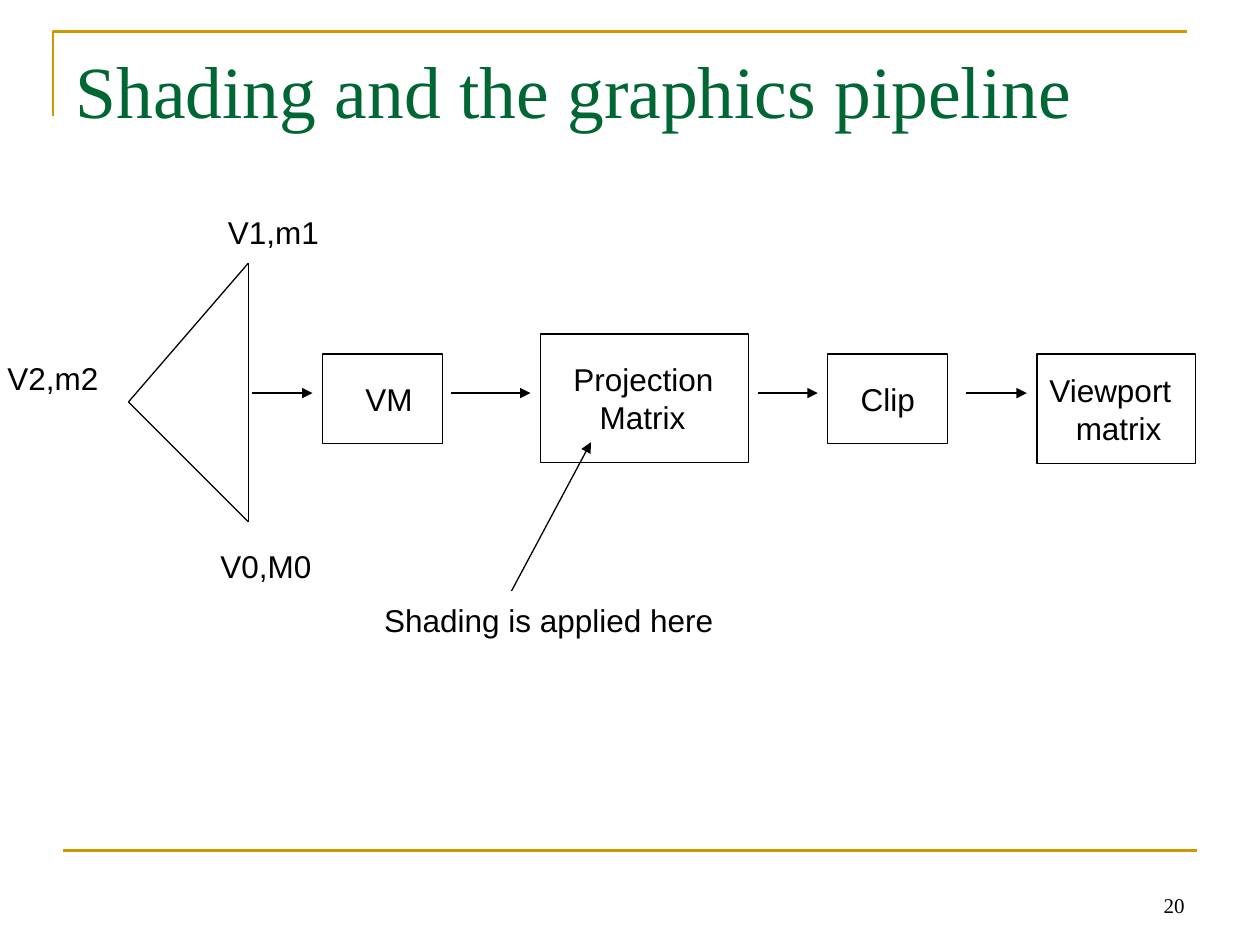
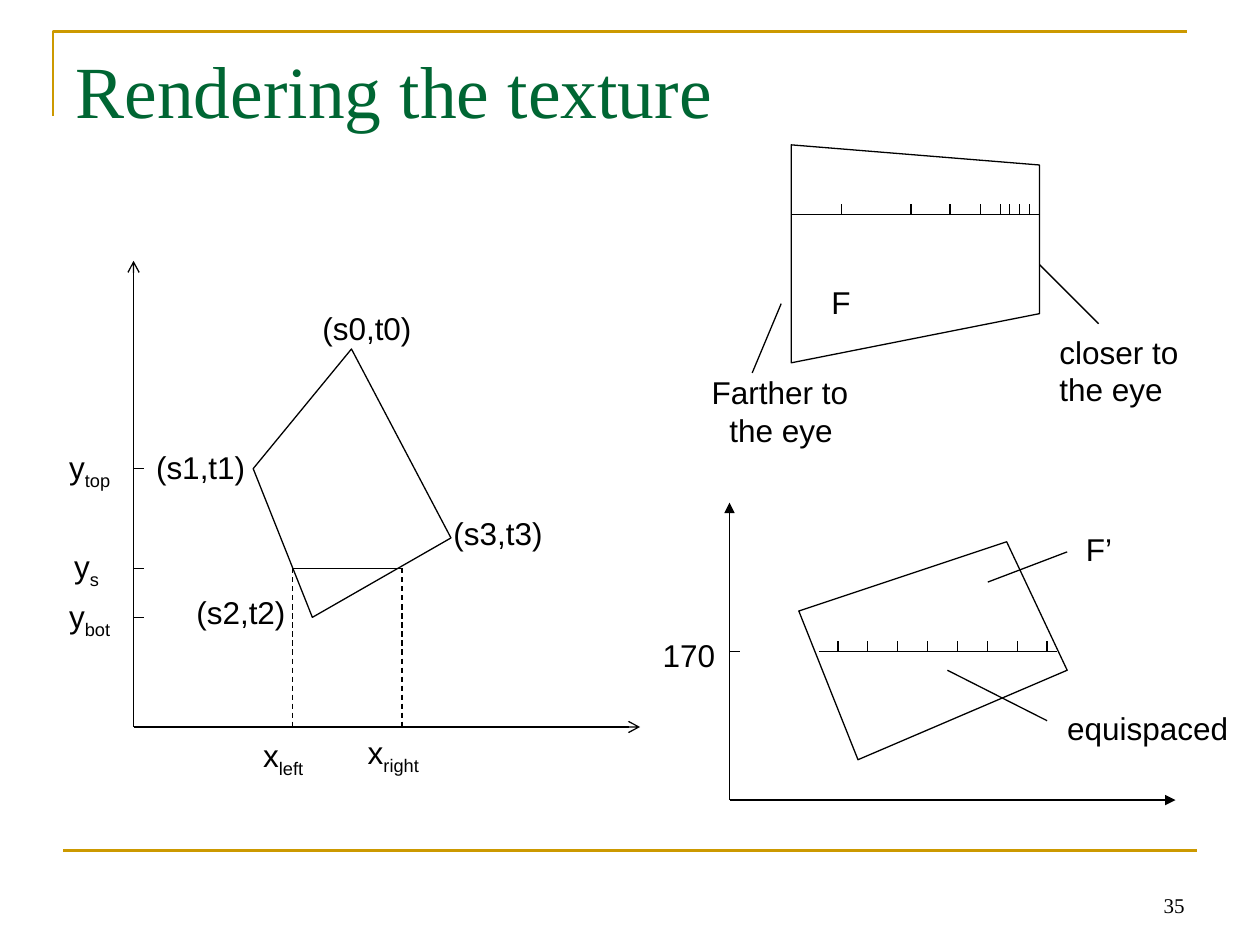
"""Builds two slides on shading in the pipeline and on texture rendering."""
from itertools import combinations

from lxml import etree
from pptx import Presentation
from pptx import util as u
from pptx.dml.color import RGBColor
from pptx.enum import dml, shapes, text
from pptx.oxml.ns import qn

GOLD, GREEN, BLACK = "CC9900", "006633", "000000"
SANS, SERIF = "Arial", "Times New Roman"

# All places are in inches; label rows are text, left, top, width, indent of line two.
PIPE = {
    "title": "Shading and the graphics pipeline",
    "number": "20",
    "outlines": [],
    "labels": [
        ("V1,m1", 1.71, 1.64, 0.92, 0),
        ("V2,m2", -0.04, 2.8, 0.92, 0),
        ("V0,M0", 1.65, 4.29, 0.92, 0),
        ("Shading is applied here", 2.95, 4.72, 2.81, 0),
    ],
    "arrows": [("triangle", (4.06, 4.69), (4.69, 3.51))],
}
CORNERS = [(1.02, 3.19), (1.97, 2.09), (1.97, 4.14)]
# Stage rows are text, left inset, indent of line two, then the place.
STAGES = [
    ("VM", 0.34, 0, 2.56, 2.81, 0.95, 0.71),
    ("Projection\nMatrix", 0.26, 0.21, 4.29, 2.65, 1.65, 1.02),
    ("Clip", 0.26, 0, 6.57, 2.81, 0.95, 0.71),
    ("Viewport\nmatrix", 0.1, 0.21, 8.23, 2.81, 1.26, 0.87),
]
FLOW_Y, FLOW_GAP = 3.12, 0.08
FLOW_FROM = [2, 3.58, 6.02, 7.67]

TEXTURE = {
    "title": "Rendering the texture",
    "number": "35",
    "outlines": [
        [(2.01, 3.72), (2.48, 4.9), (3.58, 4.27), (2.79, 2.77)],
        [(6.28, 1.15), (6.28, 2.88), (8.25, 2.49), (8.25, 1.31)],
        [(6.34, 4.85), (7.99, 4.3), (8.47, 5.32), (6.81, 6.03)],
    ],
    "labels": [
        ("(s0,t0)", 2.46, 2.4, 0.91, 0),
        ("(s1,t1)", 1.14, 3.51, 0.91, 0),
        ("(s2,t2)", 1.46, 4.66, 0.91, 0),
        ("(s3,t3)", 3.5, 4.03, 0.91, 0),
        ("x_left", 1.99, 5.79, 0.54, 0),
        ("x_right", 2.82, 5.77, 0.64, 0),
        ("y_bot", 0.45, 4.69, 0.56, 0),
        ("y_s", 0.49, 4.29, 0.42, 0),
        ("y_top", 0.45, 3.51, 0.56, 0),
        ("F", 6.5, 2.2, 0.35, 0),
        ("Farther to\nthe eye", 5.55, 2.91, 1.35, 0.14),
        ("closer to\nthe eye", 8.31, 2.59, 1.18, 0),
        ("F’", 8.52, 4.16, 0.41, 0),
        ("170", 5.16, 5, 0.65, 0),
        ("equispaced", 8.37, 5.58, 1.48, 0),
    ],
    "arrows": [
        ("arrow", (1.06, 5.77), (5.08, 5.77)),
        ("arrow", (1.06, 5.77), (1.06, 2.07)),
        ("triangle", (5.79, 6.35), (9.33, 6.35)),
        ("triangle", (5.79, 6.35), (5.79, 3.99)),
    ],
}
SPAN, SCAN_Y, AXIS_Y = (2.32, 3.19), 4.51, 5.77
POINTERS = [
    ((6.2, 2.41), (5.97, 2.96)),
    ((8.25, 2.1), (8.72, 2.57)),
    ((7.52, 5.32), (8.31, 5.72)),
    ((7.84, 4.62), (8.47, 4.38)),
]
TICK = 0.08
SIDE_TICKS = [(1.06, 3.72), (1.06, SCAN_Y), (1.06, 4.9), (5.79, 5.17)]
RULERS = [
    (6.28, 8.25, 1.7, [6.68, 7.23, 7.54, 7.78, 7.94, 8.01, 8.09, 8.17]),
    (6.5, 8.39, 5.17, [6.65 + 1.66 * i / 7 for i in range(8)]),
]


def size(*inches):
    """Turn inches into lengths."""
    return [u.Cm(2.54 * n) for n in inches]


def tint(code):
    """Turn a hex string into a colour."""
    return RGBColor.from_string(code)


def style(para, points=18, face=SANS, color=BLACK):
    """Set the font of a paragraph."""
    font = para.font
    font.size, font.name = u.Pt(points), face
    font.color.rgb = tint(color)


def ink(shape, color=BLACK, width=0.75):
    """Give a shape a plain outline without fill or shadow."""
    shape.shadow.inherit = False
    shape.fill.background()
    shape.line.color.rgb = tint(color)
    shape.line.width = u.Pt(width)


def line(slide, start, end, color=BLACK, width=0.75, head=None, dash=False):
    """Draw a straight line, with an arrowhead or dashes if asked."""
    link = slide.shapes.add_connector(
        shapes.MSO_CONNECTOR.STRAIGHT, *size(*start, *end))
    link.line.color.rgb = tint(color)
    link.line.width = u.Pt(width)
    if dash:
        link.line.dash_style = dml.MSO_LINE.DASH
    if head:
        etree.SubElement(link.line._get_or_add_ln(), qn("a:tailEnd"), type=head)
    etree.SubElement(link._element.spPr, qn("a:effectLst"))


def outline(slide, points, close=True, **look):
    """Draw an outline through the points."""
    first, *rest = [size(*point) for point in points]
    pen = slide.shapes.build_freeform(*first)
    pen.add_line_segments(rest, close=close)
    ink(pen.convert_to_shape(), **look)


def write(frame, words, indent):
    """Write left-aligned lines whose part after an underscore is a subscript."""
    for i, row in enumerate(words.split("\n")):
        para = frame.add_paragraph() if i else frame.paragraphs[0]
        para.alignment = text.PP_ALIGN.LEFT
        if i and indent:
            para._p.get_or_add_pPr().set("marL", str(size(indent)[0]))
        base, *sub = row.split("_")
        para.add_run().text = base
        for part in sub:
            run = para.add_run()
            run.text = part
            run._r.get_or_add_rPr().set("baseline", "-25000")
        style(para)


def label(slide, words, left, top, width, indent):
    """Add a label that does not wrap."""
    height = 0.44 if "_" in words else 0.4 + 0.3 * words.count("\n")
    frame = slide.shapes.add_textbox(*size(left, top, width, height)).text_frame
    frame.word_wrap = False
    frame.auto_size = text.MSO_AUTO_SIZE.SHAPE_TO_FIT_TEXT
    write(frame, words, indent)


def stage(slide, words, inset, indent, *place):
    """Draw one pipeline box with its name."""
    box = slide.shapes.add_shape(shapes.MSO_SHAPE.RECTANGLE, *size(*place))
    ink(box)
    frame = box.text_frame
    frame.margin_left, frame.margin_right = size(inset, 0)
    frame.vertical_anchor = text.MSO_ANCHOR.MIDDLE
    write(frame, words, indent)


def start(deck, page):
    """Add a slide with its frame, title, number, outlines, arrows and labels."""
    slide = deck.slides.add_slide(deck.slide_layouts[5])
    outline(slide, [(0.42, 0.92), (0.42, 0.25), (9.42, 0.25)],
            close=False, color=GOLD, width=1.5)
    line(slide, (0.5, 6.75), (9.5, 6.75), GOLD, 1.5)
    title = slide.shapes.title
    title.left, title.top, title.width, title.height = size(0.5, 0.31, 9, 1.25)
    note = slide.shapes.add_textbox(*size(7.17, 6.83, 2.33, 0.5))
    for box, words, anchor, side, look in (
        (title, page["title"], text.MSO_ANCHOR.TOP, text.PP_ALIGN.LEFT,
         (42, SERIF, GREEN)),
        (note, page["number"], text.MSO_ANCHOR.BOTTOM, text.PP_ALIGN.RIGHT,
         (12, SERIF, BLACK)),
    ):
        frame = box.text_frame
        frame.text = words
        frame.word_wrap = True
        frame.auto_size = text.MSO_AUTO_SIZE.NONE
        frame.vertical_anchor = anchor
        frame.paragraphs[0].alignment = side
        style(frame.paragraphs[0], *look)
    for points in page["outlines"]:
        outline(slide, points)
    for head, tail, tip in page["arrows"]:
        line(slide, tail, tip, head=head)
    for row in page["labels"]:
        label(slide, *row)
    return slide


def pipeline(deck):
    """Build the slide on the pipeline."""
    slide = start(deck, PIPE)
    for ends in combinations(CORNERS, 2):
        line(slide, *ends)
    for left, row in zip(FLOW_FROM, STAGES):
        stage(slide, *row)
        line(slide, (left, FLOW_Y), (row[3] - FLOW_GAP, FLOW_Y), head="triangle")


def texture(deck):
    """Build the slide on texture."""
    slide = start(deck, TEXTURE)
    line(slide, (SPAN[0], SCAN_Y), (SPAN[1], SCAN_Y))
    for x in SPAN:
        line(slide, (x, SCAN_Y), (x, AXIS_Y), dash=True)
    for x, y in SIDE_TICKS:
        line(slide, (x, y), (x + TICK, y))
    for left, right, y, ticks in RULERS:
        line(slide, (left, y), (right, y))
        for x in ticks:
            line(slide, (x, y - TICK), (x, y))
    for ends in POINTERS:
        line(slide, *ends)


def main():
    """Build and save the deck."""
    deck = Presentation()
    deck.slide_width, deck.slide_height = size(10, 7.5)
    pipeline(deck)
    texture(deck)
    deck.save("out.pptx")


if __name__ == "__main__":
    main()
